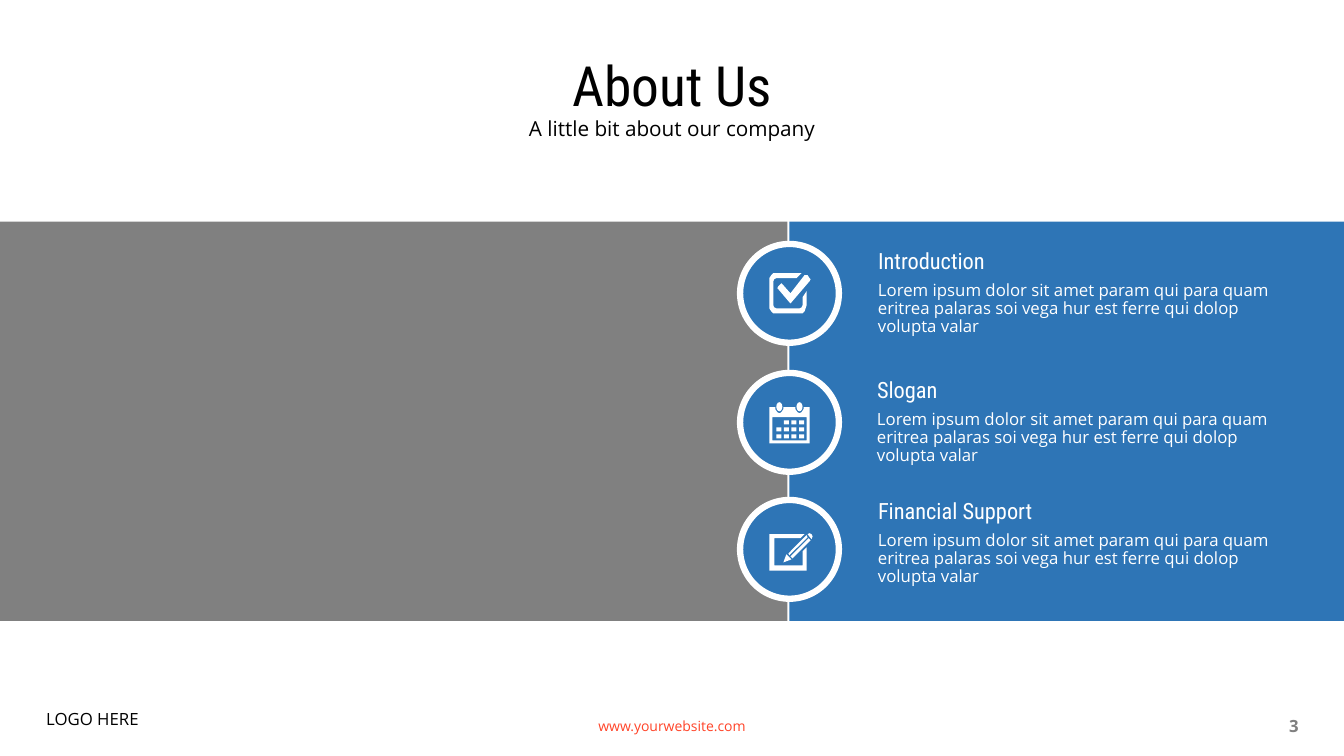
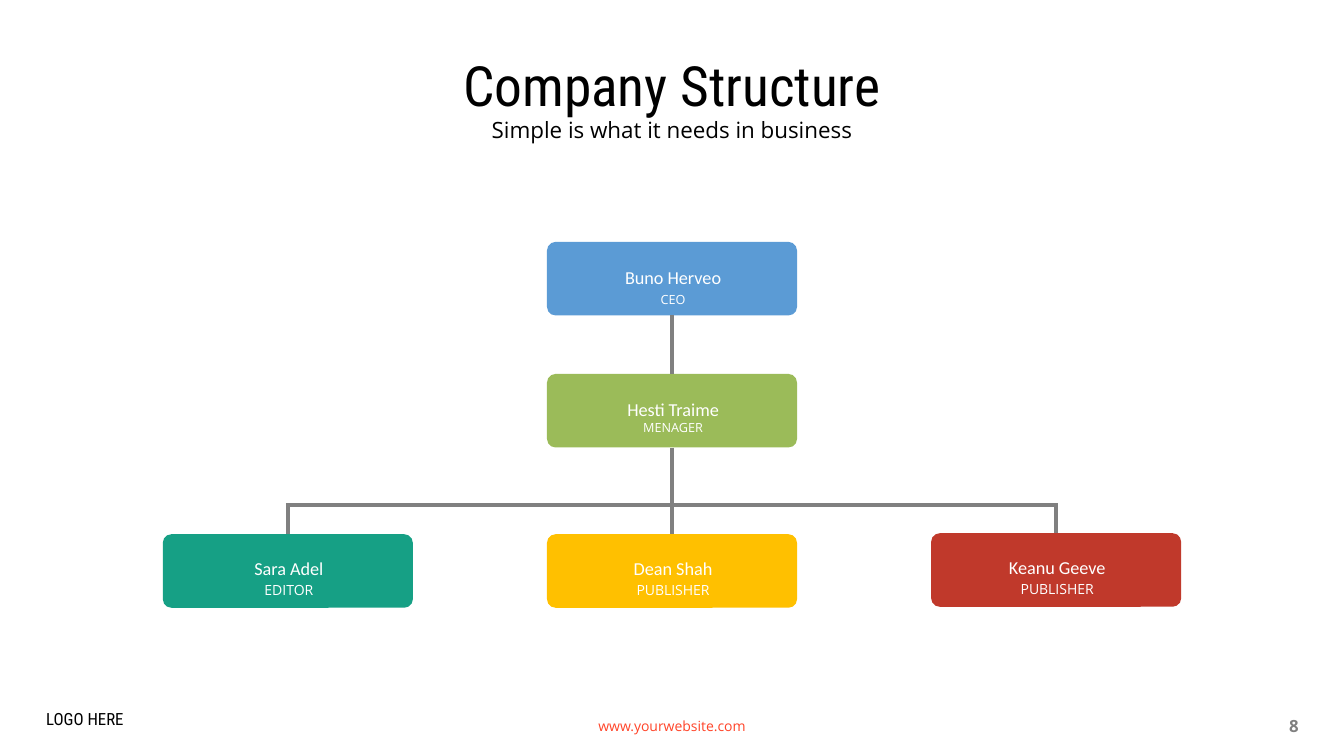
from lxml import etree
from pptx import Presentation
from pptx.dml.color import RGBColor
from pptx.enum.shapes import MSO_CONNECTOR, MSO_SHAPE
from pptx.enum.text import MSO_ANCHOR, PP_ALIGN
from pptx.oxml.ns import qn
from pptx.util import Inches, Pt

RECT, OVAL = MSO_SHAPE.RECTANGLE, MSO_SHAPE.OVAL
ROUNDED = MSO_SHAPE.ROUNDED_RECTANGLE
STRAIGHT = MSO_CONNECTOR.STRAIGHT
TOP, MIDDLE = MSO_ANCHOR.TOP, MSO_ANCHOR.MIDDLE
LEFT, CENTER, RIGHT = PP_ALIGN.LEFT, PP_ALIGN.CENTER, PP_ALIGN.RIGHT

BLACK = RGBColor(0x00, 0x00, 0x00)
WHITE = RGBColor(0xFF, 0xFF, 0xFF)
GRAY = RGBColor(0x80, 0x80, 0x80)
BLUE = RGBColor(0x2E, 0x75, 0xB6)
SKY = RGBColor(0x5B, 0x9B, 0xD5)
GREEN = RGBColor(0x9B, 0xBB, 0x59)
TEAL = RGBColor(0x16, 0xA0, 0x85)
YELLOW = RGBColor(0xFF, 0xC0, 0x00)
RED = RGBColor(0xC0, 0x39, 0x2B)
ORANGE = RGBColor(0xFF, 0x44, 0x29)

HEAD, BODY, NAME = "Roboto Condensed", "Open Sans", "Calibri"
W, H = 13.33, 7.5
MID = W / 2


def add_box(s, kind, x, y, w, h, fill):
    sp = s.shapes.add_shape(kind, Inches(x), Inches(y), Inches(w), Inches(h))
    sp.shadow.inherit = False
    sp.fill.solid()
    sp.fill.fore_color.rgb = fill
    sp.line.fill.background()
    return sp


def add_text(s, x, y, w, h, text, font, size, color,
             align=LEFT, anchor=TOP, spacing=1.0, bold=False):
    sp = s.shapes.add_textbox(Inches(x), Inches(y), Inches(w), Inches(h))
    tf = sp.text_frame
    tf.word_wrap = True
    tf.vertical_anchor = anchor
    p = tf.paragraphs[0]
    p.alignment = align
    p.line_spacing = spacing
    r = p.add_run()
    r.text = text
    r.font.name = font
    r.font.size = Pt(size)
    r.font.color.rgb = color
    r.font.bold = bold


prs = Presentation()
prs.slide_width, prs.slide_height = Inches(W), Inches(H)

# Title, subtitle and footer of every slide
frames = [
    ("About Us", "A little bit about our company", 14.8, "3", BODY),
    ("Company Structure", "Simple is what it needs in business", 16, "8", HEAD),
]
slides = []
for title, subtitle, subtitle_size, number, logo_font in frames:
    s = prs.slides.add_slide(prs.slide_layouts[6])
    slides.append(s)
    add_text(s, MID - 5.75, 0.62, 11.5, 0.52, title, HEAD, 39.6, BLACK,
             CENTER, MIDDLE, 0.9)
    add_text(s, MID - 5.75, 1.15, 11.5, 0.32, subtitle, BODY, subtitle_size,
             BLACK, CENTER, spacing=0.8)
    add_text(s, MID - 2.25, 7, 4.5, 0.4, "www.yourwebsite.com", BODY, 10,
             ORANGE, CENTER, MIDDLE)
    add_text(s, 9.83, 7, 3.15, 0.4, number, BODY, 12, GRAY, RIGHT, MIDDLE,
             bold=True)
    add_text(s, 0.36, 7, 4.17, 0.43, "LOGO HERE", logo_font, 12, BLACK,
             spacing=0.9)
about, structure = slides

# About Us: two panels with a narrow gap, badges along the gap
SPLIT, PANEL_TOP, PANEL_H = 7.83, 2.2, 3.96
BADGE = 0.98
BADGE_X = SPLIT - BADGE / 2
LOREM = ("Lorem ipsum dolor sit amet param qui para quam eritrea palaras soi "
         "vega hur est ferre qui dolop volupta valar")

# Icon outlines, in hundredths of an inch from the badge's corner
check_icon = [
    [(62, 53), (66, 47), (66, 61), (65, 64), (64, 67), (62, 69), (59, 69),
     (36, 69), (33, 69), (31, 67), (29, 64), (29, 61), (29, 37), (29, 34),
     (31, 31), (33, 29), (36, 29), (61, 29), (56, 34), (36, 34), (34, 35),
     (33, 37), (33, 61), (34, 63), (36, 64), (59, 64), (61, 63), (62, 61)],
    [(69, 34), (70, 35), (69, 37), (51, 58), (50, 59), (49, 58), (38, 45),
     (37, 44), (38, 42), (40, 40), (41, 39), (42, 40), (50, 49), (64, 31),
     (65, 31), (67, 31)],
]
RING_XS = (36, 56)
notch = [(-1, 34), (-1, 36), (1, 39), (3, 40), (5, 39), (7, 36), (7, 34)]
calendar_icon = [
    [(29, 34)] + [(x + dx, y) for x in RING_XS for dx, y in notch]
    + [(69, 34), (69, 70), (29, 70)],
    [(32, 44), (66, 44), (66, 67), (32, 67)],
]
pencil_icon = [
    [(62, 65), (34, 65), (34, 38), (60, 38), (64, 34), (29, 34), (29, 70),
     (66, 70), (66, 47), (62, 51)],
    [(51, 59), (46, 54), (43, 62)],
    [(66, 35), (48, 53), (49, 55), (67, 37)],
    [(50, 56), (52, 58), (70, 40), (68, 38)],
    [(67, 34), (69, 33), (71, 34), (72, 36), (71, 39)],
]

add_box(about, RECT, 0, PANEL_TOP, SPLIT - 0.02, PANEL_H, GRAY)
add_box(about, RECT, SPLIT, PANEL_TOP, W - SPLIT, PANEL_H, BLUE)

topics = [
    ("Introduction", 2.42, 8.61, 2.43, check_icon),
    ("Slogan", 3.7, 8.6, 3.71, calendar_icon),
    ("Financial Support", 4.96, 8.61, 4.91, pencil_icon),
]
for heading, badge_y, text_x, text_y, icon in topics:
    badge = add_box(about, OVAL, BADGE_X, badge_y, BADGE, BADGE, BLUE)
    badge.line.color.rgb = WHITE
    badge.line.width = Pt(4.5)

    outline = about.shapes.build_freeform(*icon[0][0], scale=Inches(0.01))
    outline.add_line_segments(icon[0][1:])
    for contour in icon[1:]:
        outline.move_to(*contour[0])
        outline.add_line_segments(contour[1:])
    sp = outline.convert_to_shape(Inches(BADGE_X), Inches(badge_y))
    sp.shadow.inherit = False
    sp.fill.solid()
    sp.fill.fore_color.rgb = WHITE
    sp.line.fill.background()

    if icon is calendar_icon:
        for ring_x in RING_XS:
            add_box(about, OVAL, BADGE_X + ring_x / 100, badge_y + 0.29,
                    0.06, 0.09, WHITE)
        for day in range(1, 12):
            row, col = divmod(day, 4)
            add_box(about, RECT, BADGE_X + 0.36 + 0.075 * col,
                    badge_y + 0.47 + 0.07 * row, 0.05, 0.04, WHITE)

    add_text(about, text_x, text_y, 4.21, 0.32, heading, HEAD, 16, WHITE,
             spacing=0.9)
    add_text(about, text_x, text_y + 0.32, 4.2, 0.73, LOREM, BODY, 12, WHITE,
             spacing=0.9)

# Company Structure: cards in three columns, joined through a bus line
CARD_W, CARD_H, PITCH = 2.48, 0.73, 3.81
NAME_H, ROLE_H, LABEL_W = 0.43, 0.35, 1.91
BUS_Y = 5.01

# name, role, column, top, fill, middle of name, middle of role, size, spacing
people = [
    ("Buno Herveo", "CEO", 0, 2.4, SKY, 0.3, 0.53, 9, 1.5),
    ("Hesti Traime", "MENAGER", 0, 3.71, GREEN, 0.3, 0.53, 9, 1.0),
    ("Sara Adel", "EDITOR", -1, 5.3, TEAL, 0.28, 0.51, 10, 1.5),
    ("Dean Shah", "PUBLISHER", 0, 5.3, YELLOW, 0.28, 0.51, 10, 1.5),
    ("Keanu Geeve", "PUBLISHER", 1, 5.29, RED, 0.28, 0.51, 10, 1.5),
]
cards = []
for name, role, col, y, fill, name_mid, role_mid, size, spacing in people:
    x = MID + col * PITCH
    card = add_box(structure, ROUNDED, x - CARD_W / 2, y, CARD_W, CARD_H, fill)
    card.adjustments[0] = 0.116
    cards.append(card)
    label_x = x - LABEL_W / 2 + 0.01
    add_text(structure, label_x, y + name_mid - NAME_H / 2, LABEL_W, NAME_H,
             name, NAME, 13, WHITE, CENTER, MIDDLE, 1.5)
    add_text(structure, label_x, y + role_mid - ROLE_H / 2, LABEL_W, ROLE_H,
             role, BODY, size, WHITE, CENTER, MIDDLE, spacing)

ceo, manager, *staff = cards
# start x, end x, card above, card below
links = [(MID - PITCH - 0.02, MID + PITCH + 0.02, None, None),
         (MID, MID, ceo, manager), (MID, MID, manager, None)]
links += [(MID + col * PITCH, MID + col * PITCH, None, card)
          for col, card in zip((-1, 0, 1), staff)]
for x1, x2, above, below in links:
    line = structure.shapes.add_connector(
        STRAIGHT, Inches(x1), Inches(BUS_Y), Inches(x2), Inches(BUS_Y))
    if above:
        line.begin_connect(above, 2)
    if below:
        line.end_connect(below, 0)
    line.line.color.rgb = GRAY
    line.line.width = Pt(3)
    etree.SubElement(line._element.spPr, qn("a:effectLst"))

prs.save("out.pptx")
